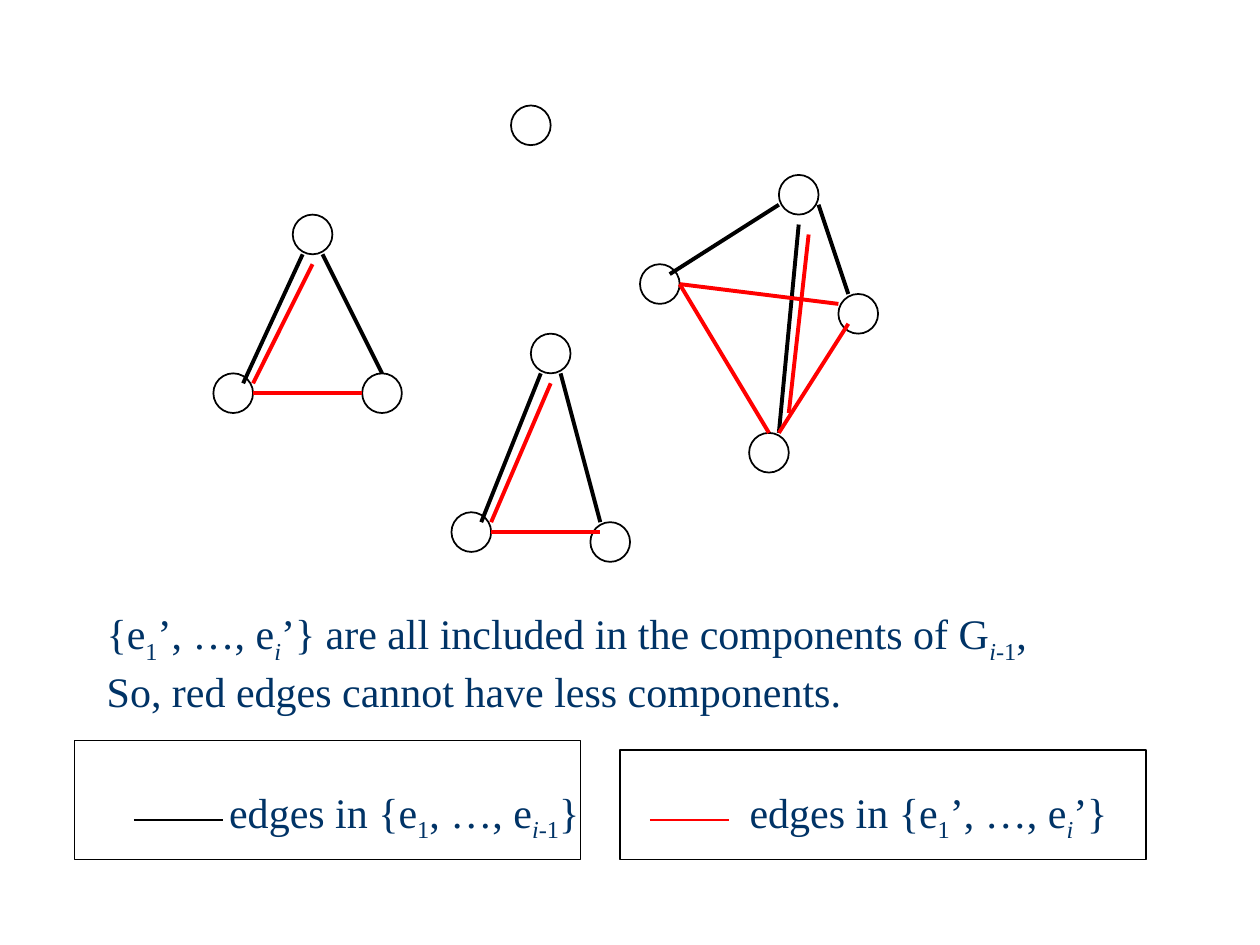
import dataclasses

import lxml.etree
import pptx
import pptx.dml.color
import pptx.enum.shapes
import pptx.enum.text
import pptx.oxml.ns
import pptx.util

WIDTH, HEIGHT = 10, 7.5
STEP = WIDTH / 127  # grid of 127 columns across the slide
ORIGIN_X, ORIGIN_Y = 0.04, 0.05
NODE_SIZE = 4
BLACK, RED, NAVY = "000000", "FF0000", "003366"
FONT = "Times New Roman"


@dataclasses.dataclass(frozen=True)
class Line:
    start: tuple[float, float]
    end: tuple[float, float]
    color: str
    weight: float = 2.25


@dataclasses.dataclass(frozen=True)
class Area:
    """A rectangle in grid columns and rows."""
    column: float
    row: float
    columns: float
    rows: float


@dataclasses.dataclass(frozen=True)
class Piece:
    text: str
    subscript: bool = False
    italic: bool = False


@dataclasses.dataclass(frozen=True)
class Label:
    area: Area
    paragraphs: list[list[Piece]]
    wrap: bool = False


NODES = [
    (29, 21), (21, 37), (36, 37),
    (78, 17), (64, 26), (75, 43), (84, 29),
    (53, 33), (45, 51), (59, 52),
    (51, 10),
]

LINES = [
    Line((30, 25), (24, 38), BLACK),
    Line((32, 25), (38, 37), BLACK),
    Line((78, 20), (67, 27), BLACK),
    Line((80, 22), (78, 43), BLACK),
    Line((82, 20), (85, 29), BLACK),
    Line((54, 37), (48, 52), BLACK),
    Line((56, 37), (60, 52), BLACK),
    Line((25, 39), (36, 39), RED),
    Line((31, 26), (25, 38), RED),
    Line((68, 28), (77, 43), RED),
    Line((85, 32), (78, 43), RED),
    Line((49, 53), (60, 53), RED),
    Line((81, 23), (79, 41), RED),
    Line((55, 38), (49, 52), RED),
    Line((68, 28), (84, 30), RED),
    Line((13, 82), (22, 82), BLACK, 1),
    Line((65, 82), (73, 82), RED, 1),
]

LEGEND_BOXES = [Area(7, 74, 51, 12), Area(62, 75, 53, 11)]

ONE = Piece("1", subscript=True)
INDEX = Piece("i", subscript=True, italic=True)
MINUS_ONE = Piece("-1", subscript=True)

LABELS = [
    Label(Area(21.34, 78, 37.85, 7.1), [
        [Piece("edges in {e"), ONE, Piece(", …, e"), INDEX, MINUS_ONE, Piece("}")],
    ]),
    Label(Area(73.8, 78, 38.6, 7.1), [
        [Piece("edges in {e"), ONE, Piece("’, …, e"), INDEX, Piece("’}")],
    ]),
    Label(Area(9, 60, 104, 17.3), [
        [Piece("{e"), ONE, Piece("’, …, e"), INDEX,
         Piece("’} are all included in the components of G"),
         INDEX, MINUS_ONE, Piece(",")],
        [Piece("So, red edges cannot have less components.")],
    ], wrap=True),
]


def color_of(value: str) -> pptx.dml.color.RGBColor:
    return pptx.dml.color.RGBColor.from_string(value)


def grid_point(column: float, row: float) -> tuple[int, int]:
    return (pptx.util.Inches(ORIGIN_X + column * STEP),
            pptx.util.Inches(ORIGIN_Y + row * STEP))


def placed(area: Area) -> tuple[int, int, int, int]:
    return (*grid_point(area.column, area.row),
            pptx.util.Inches(area.columns * STEP), pptx.util.Inches(area.rows * STEP))


def draw_outline(slide, kind, area: Area) -> None:
    shape = slide.shapes.add_shape(kind, *placed(area))
    shape.shadow.inherit = False
    shape.fill.background()
    shape.line.color.rgb = color_of(BLACK)
    shape.line.width = pptx.util.Pt(1)


def draw_line(slide, line: Line) -> None:
    connector = slide.shapes.add_connector(
        pptx.enum.shapes.MSO_CONNECTOR.STRAIGHT,
        *grid_point(*line.start), *grid_point(*line.end))
    connector.line.color.rgb = color_of(line.color)
    connector.line.width = pptx.util.Pt(line.weight)
    lxml.etree.SubElement(connector._element.spPr, pptx.oxml.ns.qn("a:effectLst"))


def add_piece(paragraph, piece: Piece) -> None:
    run = paragraph.add_run()
    run.text = piece.text
    run.font.name = FONT
    run.font.size = pptx.util.Pt(24)
    run.font.color.rgb = color_of(NAVY)
    run.font.italic = piece.italic
    if piece.subscript:
        run._r.get_or_add_rPr().set("baseline", "-25000")


def draw_label(slide, label: Label) -> None:
    frame = slide.shapes.add_textbox(*placed(label.area)).text_frame
    frame.word_wrap = label.wrap
    frame.auto_size = pptx.enum.text.MSO_AUTO_SIZE.SHAPE_TO_FIT_TEXT
    for number, pieces in enumerate(label.paragraphs):
        paragraph = frame.add_paragraph() if number else frame.paragraphs[0]
        for piece in pieces:
            add_piece(paragraph, piece)


def main() -> None:
    presentation = pptx.Presentation()
    presentation.slide_width = pptx.util.Inches(WIDTH)
    presentation.slide_height = pptx.util.Inches(HEIGHT)
    slide = presentation.slides.add_slide(presentation.slide_layouts[6])
    shapes = pptx.enum.shapes.MSO_SHAPE
    for column, row in NODES:
        draw_outline(slide, shapes.OVAL, Area(column, row, NODE_SIZE, NODE_SIZE))
    for line in LINES:
        draw_line(slide, line)
    for area in LEGEND_BOXES:
        draw_outline(slide, shapes.RECTANGLE, area)
    for label in LABELS:
        draw_label(slide, label)
    presentation.save("out.pptx")


if __name__ == "__main__":
    main()
